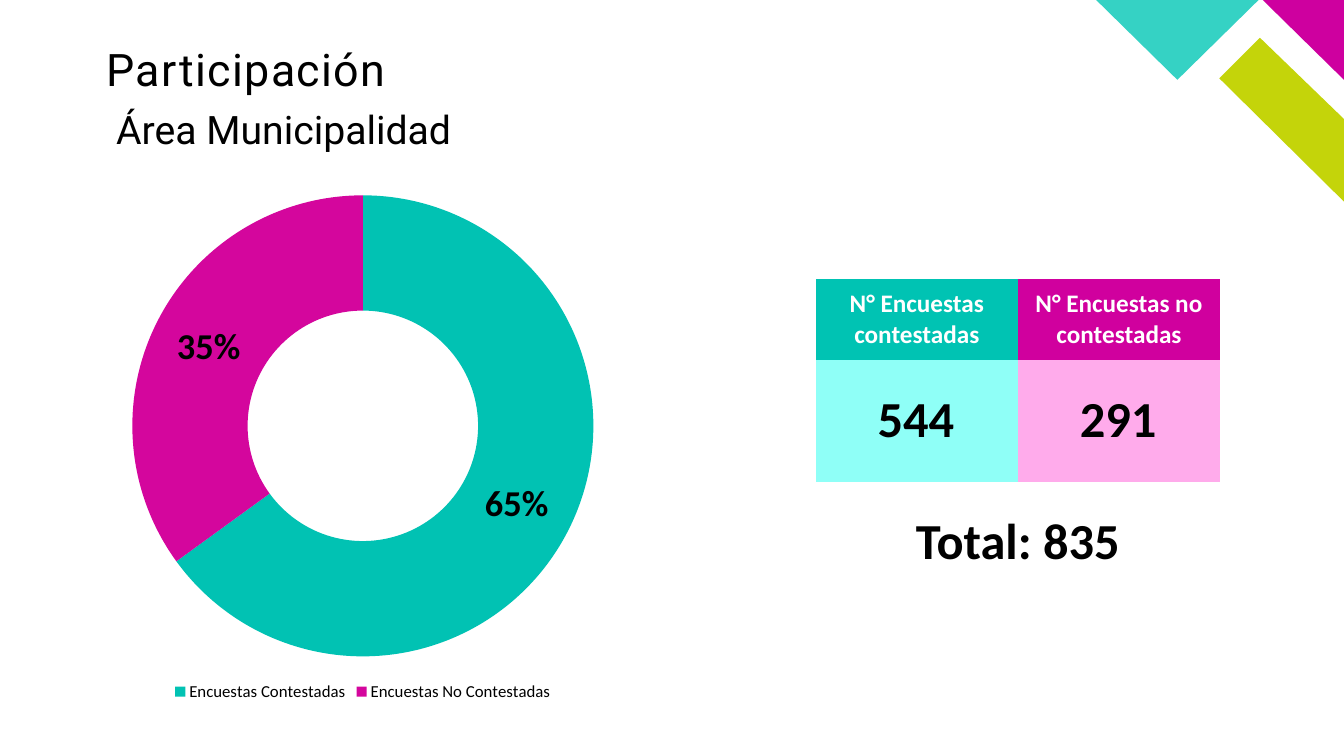
from pptx import Presentation
from pptx.chart.data import CategoryChartData
from pptx.dml.color import RGBColor as RGB
from pptx.enum.chart import XL_CHART_TYPE as CT, XL_LEGEND_POSITION as LP
from pptx.enum.text import MSO_ANCHOR as MA, PP_ALIGN as PA
from pptx.util import Pt

# Content
COLORS = {
    "black": "000000", "white": "FFFFFF", "lime": "C4D40A", "magenta": "CE009F",
    "aqua": "35D2C4", "head_yes": "00C3B3", "head_no": "D0009E",
    "cell_yes": "8FFFF7", "cell_no": "FFABEB", "ring_yes": "01C2B3", "ring_no": "D4069D",
}
CORNER = [  # fill, outline points
    ("lime", [(960, 144.4), (960, 85.4), (900.5, 26.6), (870.8, 56.2)]),
    ("magenta", [(960, 57.3), (960, 0), (902.2, 0)]),
    ("aqua", [(782.6, 0), (840.8, 57.3), (899.3, 0)]),
]
HEAD = {"size": 18, "name": "Calibri", "color": "white", "bold": True}
BIG = {"size": 36, "name": "Calibri", "color": "black", "bold": True}
HEADERS = [("N° Encuestas contestadas", "head_yes", "cell_yes"),
           ("N° Encuestas no contestadas", "head_no", "cell_no")]
COUNTS = ["544", "291"]
TABLE_X, TABLE_Y, COL_W, COUNT_W = 582.7, 199.4, 144.4, 143.3
HEAD_H, COUNT_H = 57.6, 87.1
TABLE_W, TABLE_H = COL_W * 2, HEAD_H + COUNT_H
TEXTS = [  # text, box, insets, anchor, alignment, format
    ("Participación", (75.9, 34.2, 403.9, 48.2), (0, 0), MA.TOP, PA.LEFT,
     {"size": 32, "name": "Roboto", "color": "black", "spacing": 100}),
    ("Área Municipalidad", (75.9, 75.6, 704.2, 69.1), (7.2, 3.6), MA.TOP, PA.LEFT,
     {"size": 28, "name": "Roboto", "color": "black"}),
    ("Total: 835", (TABLE_X, TABLE_Y + TABLE_H, TABLE_W, COUNT_H), (7.2, 3.6),
     MA.MIDDLE, PA.CENTER, BIG),
]
TEXTS += [(count, (TABLE_X + i * COL_W, TABLE_Y + HEAD_H, COUNT_W, COUNT_H),
           (7.2, 3.6), MA.MIDDLE, PA.CENTER, BIG) for i, count in enumerate(COUNTS)]
RING = [("Encuestas Contestadas", 0.65, "ring_yes"),
        ("Encuestas No Contestadas", 0.35, "ring_no")]
RING_BOX = (72, 129.6, 374.4, 374.4)


def pts(*values):
    return [Pt(v) for v in values]


def paint(fill, key):
    fill.solid()
    fill.fore_color.rgb = RGB.from_string(COLORS[key])


def style(font, fmt):
    for key, value in fmt.items():
        if key == "color":
            font.color.rgb = RGB.from_string(COLORS[value])
        elif key != "spacing":
            setattr(font, key, Pt(value) if key == "size" else value)


def write(tf, text, align, fmt):
    p = tf.paragraphs[0]
    p.alignment = align
    r = p.add_run()
    r.text = text
    style(r.font, fmt)
    if "spacing" in fmt:
        r.font._element.set("spc", str(fmt["spacing"]))
    return p


prs = Presentation()
prs.slide_width, prs.slide_height = pts(960, 540)
s = prs.slides.add_slide(prs.slide_layouts[6])

# Corner decoration
for color, outline in CORNER:
    builder = s.shapes.build_freeform(*outline[0], scale=Pt(1))
    builder.add_line_segments(outline[1:], close=True)
    sp = builder.convert_to_shape()
    sp.shadow.inherit = False
    sp.line.fill.background()
    paint(sp.fill, color)

# Survey table: headers over coloured cells that carry the counts
table = s.shapes.add_table(2, 2, *pts(TABLE_X, TABLE_Y, TABLE_W, TABLE_H)).table
table.horz_banding = False
table._tbl.tblPr.find("{*}tableStyleId").text = "{2D5ABB26-0587-4C30-8999-92F81FD0307C}"
for row, height in zip(table.rows, (HEAD_H, COUNT_H)):
    row.height = Pt(height)
for j, (text, head_color, cell_color) in enumerate(HEADERS):
    table.columns[j].width = Pt(COL_W)
    head = table.cell(0, j)
    head.vertical_anchor = MA.MIDDLE
    paint(head.fill, head_color)
    write(head.text_frame, text, PA.CENTER, HEAD)
    paint(table.cell(1, j).fill, cell_color)

# Headings, total and counts
for text, box, (dx, dy), anchor, align, fmt in TEXTS:
    tf = s.shapes.add_textbox(*pts(*box)).text_frame
    tf.word_wrap = True
    tf.vertical_anchor = anchor
    tf.margin_left = tf.margin_right = Pt(dx)
    tf.margin_top = tf.margin_bottom = Pt(dy)
    write(tf, text, align, fmt).line_spacing = 0.9

# Participation ring
data = CategoryChartData(number_format="0%")
data.categories = [name for name, _, _ in RING]
data.add_series("Series 1", [value for _, value, _ in RING])
chart = s.shapes.add_chart(CT.DOUGHNUT, *pts(*RING_BOX), data).chart
style(chart.font, {"size": 18, "name": "Calibri", "color": "white"})
chart.has_title = False
chart.has_legend = True
chart.legend.position = LP.BOTTOM
chart.legend.include_in_layout = False
style(chart.legend.font, {"size": 12, "name": "Calibri", "color": "black"})
plot = chart.plots[0]
plot._element.find("{*}holeSize").set("val", "50")
for i, (_, _, color) in enumerate(RING):
    fmt = plot.series[0].points[i].format
    paint(fmt.fill, color)
    fmt.line.fill.background()
labels = plot.series[0].data_labels
for key, value in {"show_value": True, "show_percentage": False,
                   "number_format": "0%", "number_format_is_linked": False}.items():
    setattr(labels, key, value)
style(labels.font, {"size": 26, "name": "Calibri", "color": "black", "bold": True})

prs.save("out.pptx")
